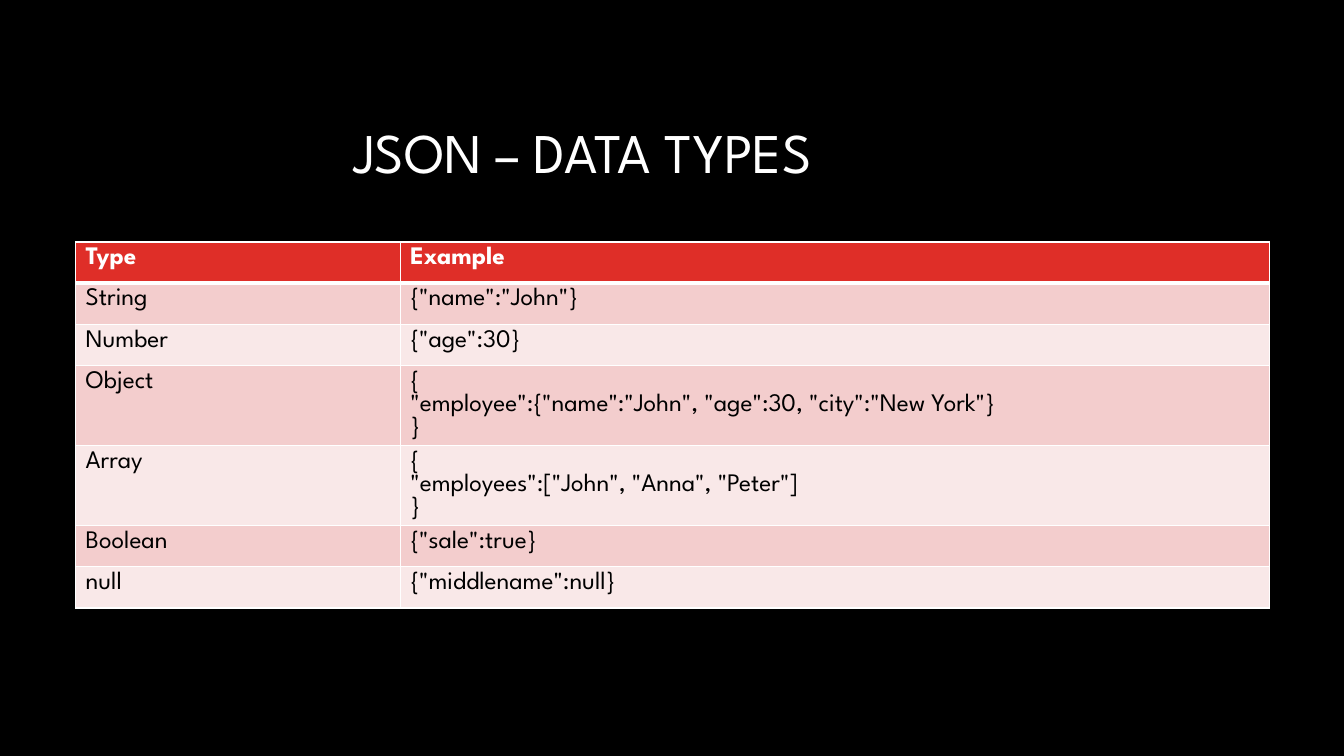
from lxml import etree
from pptx import Presentation
from pptx.dml.color import RGBColor
from pptx.enum import text
from pptx.oxml import ns
from pptx.util import Inches, Pt

BLACK = RGBColor(0x00, 0x00, 0x00)
WHITE = RGBColor(0xFF, 0xFF, 0xFF)
RED = RGBColor(0xDF, 0x2E, 0x28)
PINK = RGBColor(0xF3, 0xCD, 0xCD)
PALE_PINK = RGBColor(0xF9, 0xE8, 0xE8)
FONT = "League Spartan"

ROWS = [
    ("Type", "Example"),
    ("String", '{"name":"John"}'),
    ("Number", '{"age":30}'),
    ("Object", '{\n"employee":{"name":"John", "age":30, "city":"New York"}\n}'),
    ("Array", '{\n"employees":["John", "Anna", "Peter"]\n}'),
    ("Boolean", '{"sale":true}'),
    ("null", '{"middlename":null}'),
]


def style_font(font, size, color, bold=False):
    for name, value in {"name": FONT, "size": Pt(size), "bold": bold}.items():
        setattr(font, name, value)
    font.color.rgb = color


def add_border(cell, side, width):
    line = etree.SubElement(cell._tc.get_or_add_tcPr(), ns.qn(f"a:ln{side}"), w=str(Pt(width)))
    fill = etree.SubElement(line, ns.qn("a:solidFill"))
    etree.SubElement(fill, ns.qn("a:srgbClr"), val=str(WHITE))


deck = Presentation()
deck.slide_width, deck.slide_height = Inches(13.33), Inches(7.5)
page = deck.slides.add_slide(deck.slide_layouts[5])
page.background.fill.solid()
page.background.fill.fore_color.rgb = BLACK

title = page.shapes.title
placement = {"left": 0.68, "top": 0.84, "width": 7.47, "height": 1.41}
for name, value in placement.items():
    setattr(title, name, Inches(value))
title.text_frame.text = "JSON – DATA TYPES"
title.text_frame.auto_size = text.MSO_AUTO_SIZE.NONE
title.text_frame.vertical_anchor = text.MSO_ANCHOR.MIDDLE
heading = title.text_frame.paragraphs[0]
heading.alignment = text.PP_ALIGN.RIGHT
heading.line_spacing = 0.9
style_font(heading.runs[0].font, 40, WHITE)

table = page.shapes.add_table(
    len(ROWS), 2, Inches(0.75), Inches(2.4), Inches(11.84), Inches(0.41 * len(ROWS))
).table
for column, width in zip(table.columns, (3.22, 8.62)):
    column.width = Inches(width)

for row_index, row in enumerate(ROWS):
    is_header = row_index == 0
    fill_color = RED if is_header else (PALE_PINK, PINK)[row_index % 2]
    text_color = WHITE if is_header else BLACK
    for column_index, content in enumerate(row):
        cell = table.cell(row_index, column_index)
        borders = {"L": 1, "R": 1, "T": 3 if row_index == 1 else 1, "B": 3 if is_header else 1}
        for side, width in borders.items():
            add_border(cell, side, width)
        cell.fill.solid()
        cell.fill.fore_color.rgb = fill_color
        para = cell.text_frame.paragraphs[0]
        for line_index, line in enumerate(content.split("\n")):
            if line_index:
                para.add_line_break()
            span = para.add_run()
            span.text = line
            style_font(span.font, 18, text_color, is_header)

deck.save("out.pptx")
